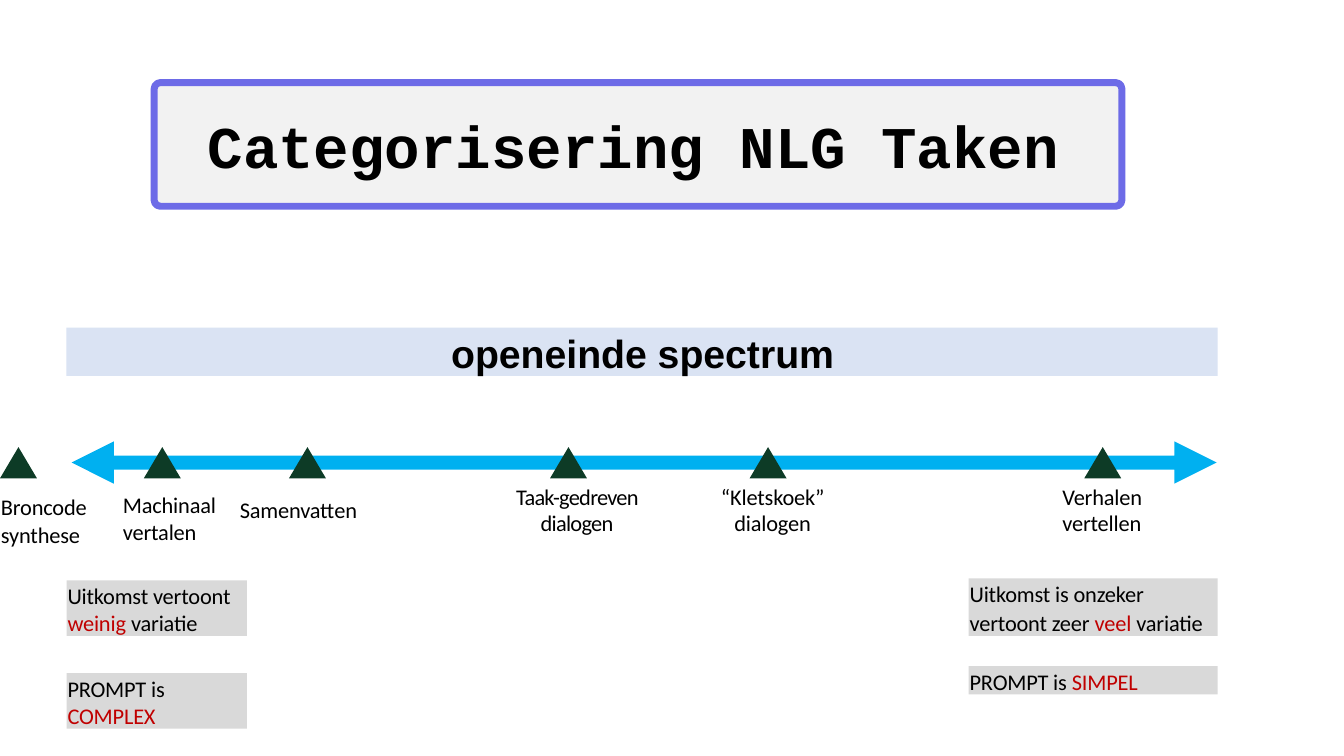
from pptx import Presentation
from pptx.dml.color import RGBColor
from pptx.enum.shapes import MSO_SHAPE
from pptx.enum.text import MSO_ANCHOR, PP_ALIGN
from pptx.oxml.ns import qn
from pptx.util import Inches, Pt

THEME = {
    "ink": RGBColor.from_string("000000"),
    "accent": RGBColor.from_string("C00000"),
    "arrow": RGBColor.from_string("00B0F0"),
    "mark": RGBColor.from_string("0D3B26"),
    "frame": RGBColor.from_string("6D6BE7"),
    "panel": RGBColor.from_string("F2F2F2"),
    "band": RGBColor.from_string("DAE3F3"),
    "note": RGBColor.from_string("D9D9D9"),
    "title": 42.2,
    "head": 28,
    "body": 16,
}

deck = Presentation()
deck.slide_width, deck.slide_height = Inches(13.33), Inches(7.5)
slide = deck.slides.add_slide(deck.slide_layouts[6])
CELL = deck.slide_width / 40  # 40 columns of square cells


def add_form(kind, place, fill):
    """Add a flat preset shape; place is column, row, width, height in cells."""
    form = slide.shapes.add_shape(kind, *[int(n * CELL) for n in place])
    form.shadow.inherit = False
    form.fill.solid()
    form.fill.fore_color.rgb = THEME[fill]
    form.line.fill.background()
    return form


def add_text(text, place, size="body", font="Calibri", bold=False,
             align=PP_ALIGN.LEFT, fill=None, track=-10):
    """Add a text box; parts between asterisks take the accent colour."""
    box = slide.shapes.add_textbox(*[int(n * CELL) for n in place])
    if fill:
        box.fill.solid()
        box.fill.fore_color.rgb = THEME[fill]
    frame = box.text_frame
    frame.word_wrap = True
    frame.vertical_anchor = MSO_ANCHOR.TOP
    frame.margin_left, frame.margin_top = Inches(0.01), Inches(0.02)
    frame.margin_right = frame.margin_bottom = 0
    for row, line in enumerate(text.split("\n")):
        para = frame.add_paragraph() if row else frame.paragraphs[0]
        para.alignment = align
        if row:
            para.space_before = Pt(1)
        for spot, part in enumerate(line.split("*")):
            if part:
                run = para.add_run()
                run.text = part
                run.font.name, run.font.bold = font, bold
                run.font.size = Pt(THEME[size])
                run.font.color.rgb = THEME["accent" if spot % 2 else "ink"]
    for props in box.element.iter(qn("a:rPr")):
        props.set("spc", str(track))


# Title
panel = add_form(MSO_SHAPE.ROUNDED_RECTANGLE, (4.59, 2.46, 28.8, 3.68), "panel")
panel.adjustments[0] = 0.05
panel.line.color.rgb = THEME["frame"]
panel.line.width = Pt(5)
add_text("Categorisering NLG Taken", (6.15, 3.21, 25.65, 2.16),
         size="title", font="Courier New", bold=True, track=0)

# Spectrum
add_text("openeinde spectrum", (1.98, 9.75, 34.26, 1.44), size="head",
         font="Arial", bold=True, align=PP_ALIGN.CENTER, fill="band", track=0)
arrow = add_form(MSO_SHAPE.LEFT_RIGHT_ARROW, (2.13, 13.14, 34.08, 1.26), "arrow")
arrow.adjustments[0], arrow.adjustments[1] = 0.33, 1

# Tasks: centre of the mark, text, place of the label, format
MID = {"align": PP_ALIGN.CENTER}
TASKS = [
    (0.55, "Broncode\nsynthese", (0, 14.61, 3.06, 1.71), {}),
    (4.83, "Machinaal vertalen", (3.63, 14.55, 3.06, 1.65), {}),
    (9.15, "Samenvatten", (7.11, 14.7, 4.14, 0.87), {}),
    (16.92, "Taak-gedreven dialogen", (15.09, 14.31, 4.14, 1.65), MID | {"track": -50}),
    (22.86, "“Kletskoek” dialogen", (21.18, 14.31, 3.6, 1.65), MID),
    (32.82, "Verhalen vertellen", (31.59, 14.31, 2.67, 1.65), {}),
]
for mid, text, place, style in TASKS:
    add_form(MSO_SHAPE.ISOSCELES_TRIANGLE, (mid - 0.55, 13.31, 1.1, 0.93), "mark")
    add_text(text, place, **style)

# Notes below each end of the spectrum
NOTES = [
    ("Uitkomst vertoont *weinig* variatie", (1.98, 17.28, 5.37, 1.65)),
    ("PROMPT is *COMPLEX*", (1.98, 20.04, 5.37, 1.65)),
    ("Uitkomst is onzeker\nvertoont zeer *veel* variatie", (28.83, 17.22, 7.41, 1.71)),
    ("PROMPT is *SIMPEL*", (28.83, 19.83, 7.41, 0.84)),
]
for text, place in NOTES:
    add_text(text, place, fill="note")

deck.save("out.pptx")
